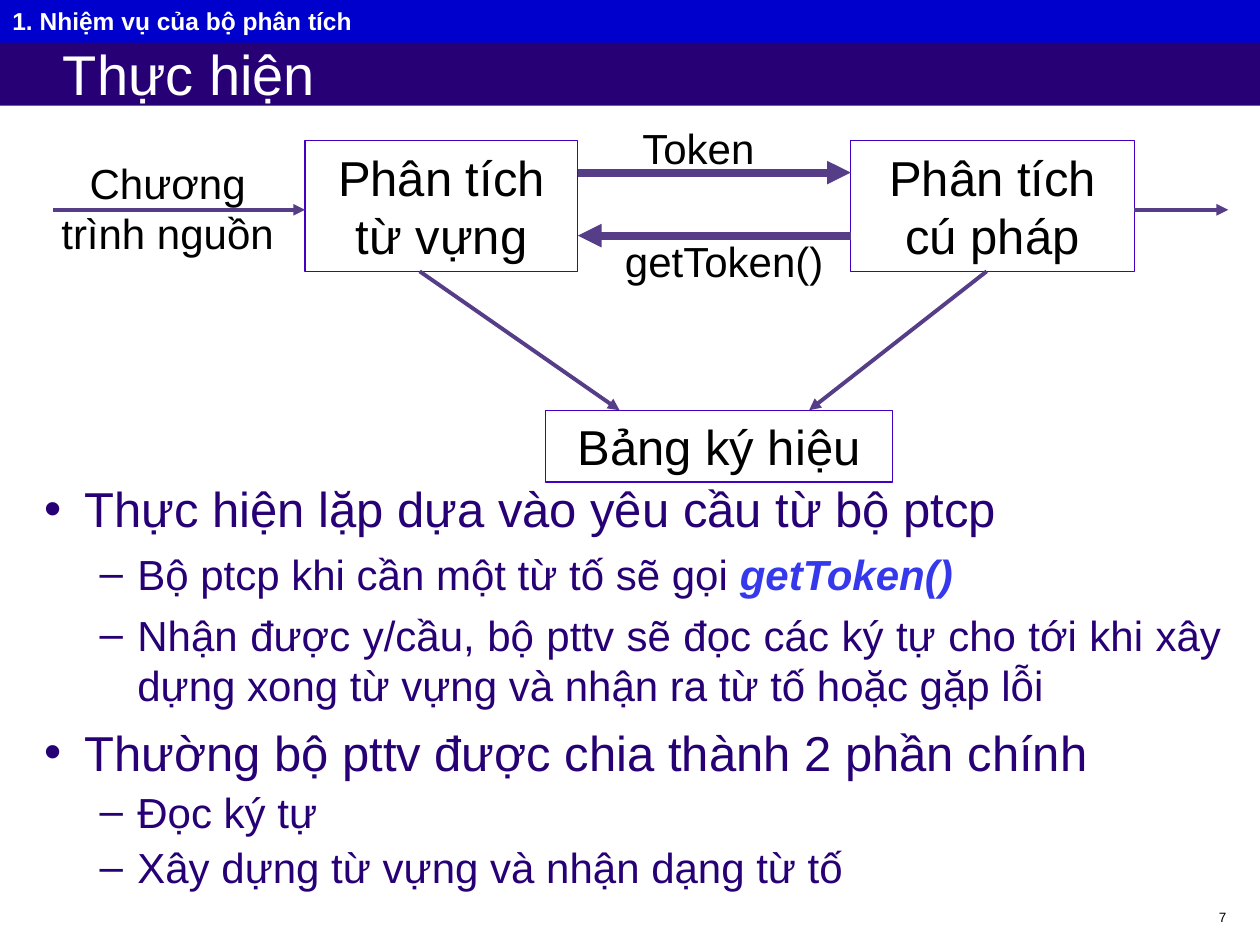
from lxml.etree import SubElement
from pptx import Presentation
from pptx.dml.color import RGBColor
from pptx.enum.shapes import MSO_CONNECTOR as Connector, MSO_SHAPE as Shape
from pptx.enum.text import MSO_ANCHOR as Anchor, PP_ALIGN as Align
from pptx.oxml.ns import qn
from pptx.util import Cm, Pt

INK, NAVY, WHITE = "000000", "270076", "FFFFFF"
BAND, OUTLINE, ARROW, ACCENT = "0000CC", "4100C4", "563D87", "3539EB"

BULLETS = [
    (0, 0, [("Thực hiện lặp dựa vào yêu cầu từ bộ ptcp", {})]),
    (1, 6, [("Bộ ptcp khi cần một từ tố sẽ gọi ", {}),
            ("getToken()", {"color": ACCENT, "bold": True, "italic": True})]),
    (1, 6, [("Nhận được y/cầu, bộ pttv sẽ đọc các ký tự cho tới khi xây dựng "
             "xong từ vựng và nhận ra từ tố hoặc gặp lỗi", {})]),
    (0, 7, [("Thường bộ pttv được chia thành 2 phần chính", {})]),
    (1, 3, [("Đọc ký tự", {})]),
    (1, 3, [("Xây dựng từ vựng và nhận dạng từ tố", {})]),
]
LEVELS = [("•", 0.81, 0.81, 28), ("–", 1.88, 0.76, 24)]


def rgb(value):
    """Turn a hex string into a colour."""
    return RGBColor.from_string(value)


def write_text(paragraph, text, size=24, color=INK, bold=False, italic=False, align=None):
    """Append formatted text to a paragraph."""
    if align is not None:
        paragraph.alignment = align
    run = paragraph.add_run()
    run.text = text
    font = run.font
    font.name, font.size, font.bold, font.italic = "Arial", Pt(size), bold, italic
    font.color.rgb = rgb(color)


def add_text_box(slide, box):
    """Add a wrapping text box and return its frame."""
    frame = slide.shapes.add_textbox(*map(Cm, box)).text_frame
    frame.word_wrap = True
    return frame


def add_rectangle(slide, box, fill=None, line=None):
    """Add a flat rectangle and return its frame, anchored at the top."""
    shape = slide.shapes.add_shape(Shape.RECTANGLE, *map(Cm, box))
    shape.shadow.inherit = False
    if fill:
        shape.fill.solid()
        shape.fill.fore_color.rgb = rgb(fill)
    else:
        shape.fill.background()
    if line:
        shape.line.color.rgb = rgb(line)
        shape.line.width = Pt(0.75)
    else:
        shape.line.fill.background()
    frame = shape.text_frame
    frame.word_wrap = True
    frame.vertical_anchor = Anchor.TOP
    return frame


def add_arrow(slide, start, end, width=2.25):
    """Add an arrow that points at its end."""
    connector = slide.shapes.add_connector(Connector.STRAIGHT, *map(Cm, start + end))
    connector.line.color.rgb = rgb(ARROW)
    connector.line.width = Pt(width)
    SubElement(connector.line._get_or_add_ln(), qn("a:tailEnd"), type="triangle")
    SubElement(connector._element.spPr, qn("a:effectLst"))


def add_title(slide, box):
    """Place the slide title on its dark band."""
    frame = add_rectangle(slide, box, fill=NAVY)
    frame.vertical_anchor = Anchor.MIDDLE
    frame.margin_left, frame.margin_top, frame.margin_bottom = Cm(1.27), 0, 0
    write_text(frame.paragraphs[0], "Thực hiện", size=32, color=WHITE, align=Align.LEFT)


def add_section_header(slide, box):
    """Place the section name on the top band."""
    frame = add_rectangle(slide, box, fill=BAND)
    write_text(frame.paragraphs[0], "1. Nhiệm vụ của bộ phân tích",
               size=14, color=WHITE, bold=True, align=Align.LEFT)


def add_bullets(slide, box):
    """Place the two-level bullet list."""
    frame = add_text_box(slide, box)
    for index, (level, space, runs) in enumerate(BULLETS):
        paragraph = frame.add_paragraph() if index else frame.paragraphs[0]
        mark, margin, hanging, size = LEVELS[level]
        paragraph.level = level
        paragraph.alignment = Align.JUSTIFY
        paragraph.line_spacing = 1.0
        paragraph.space_before = Pt(space)
        properties = paragraph._p.get_or_add_pPr()
        properties.set("marL", str(Cm(margin)))
        properties.set("indent", str(-Cm(hanging)))
        SubElement(SubElement(properties, qn("a:buClr")), qn("a:srgbClr"), val=NAVY)
        SubElement(properties, qn("a:buFont"), typeface="Arial")
        SubElement(properties, qn("a:buChar"), char=mark)
        for text, style in runs:
            write_text(paragraph, text, **{"size": size, "color": NAVY, **style})


def add_diagram(slide, box):
    """Place the lexer, parser and symbol table with their arrows."""
    left, top, width, _ = box

    def point(x, y):
        return left + x, top + y

    lexer_left, lexer_right, parser_left, parser_right = 5.31, 10.81, 16.31, 22.03
    node_top, node_height, table_top = 0.5, 2.63, 5.93
    node_bottom = node_top + node_height
    token_y, flow_y, request_y = 1.14, 1.89, 2.41

    for text, x, y, node_width, height in [
        ("Phân tích từ vựng", lexer_left, node_top, lexer_right - lexer_left, node_height),
        ("Phân tích cú pháp", parser_left, node_top, parser_right - parser_left, node_height),
        ("Bảng ký hiệu", 10.16, table_top, 6.99, 1.45),
    ]:
        frame = add_rectangle(slide, (*point(x, y), node_width, height), line=OUTLINE)
        write_text(frame.paragraphs[0], text, size=28, align=Align.CENTER)

    for text, x, y, label_width, height, align in [
        ("Chương trình nguồn", 0, 0.71, 5.08, 2.29, Align.CENTER),
        ("Token", 11.86, 0, 3.81, 1.27, Align.LEFT),
        ("getToken()", 11.12, 2.28, 5.28, 1.27, Align.CENTER),
    ]:
        frame = add_text_box(slide, (*point(x, y), label_width, height))
        write_text(frame.paragraphs[0], text, align=align)

    for start, end, weight in [
        ((lexer_right, token_y), (parser_left, token_y), 4.5),
        ((parser_left, request_y), (lexer_right, request_y), 4.5),
        ((0.23, flow_y), (lexer_left, flow_y), 2.25),
        ((parser_right, flow_y), (width, flow_y), 2.25),
        ((7.62, node_bottom), (11.65, table_top), 2.25),
        ((19.05, node_bottom), (15.47, table_top), 2.25),
    ]:
        add_arrow(slide, point(*start), point(*end), weight)


def add_page_number(slide, box):
    """Place the page number."""
    frame = add_text_box(slide, box)
    write_text(frame.paragraphs[0], "7", size=7.7, align=Align.RIGHT)


def main():
    """Build and save the slide."""
    presentation = Presentation()
    presentation.slide_width, presentation.slide_height = Cm(25.4), Cm(19.05)
    slide = presentation.slides.add_slide(presentation.slide_layouts[6])
    add_page_number(slide, (19.69, 18.21, 5.28, 0.61))
    add_title(slide, (0, 0.81, 25.4, 1.32))
    add_bullets(slide, (0.64, 9.53, 24.23, 9.09))
    add_section_header(slide, (0, 0, 25.4, 0.86))
    add_diagram(slide, (0.84, 2.34, 23.92, 7.38))
    presentation.save("out.pptx")


if __name__ == "__main__":
    main()
